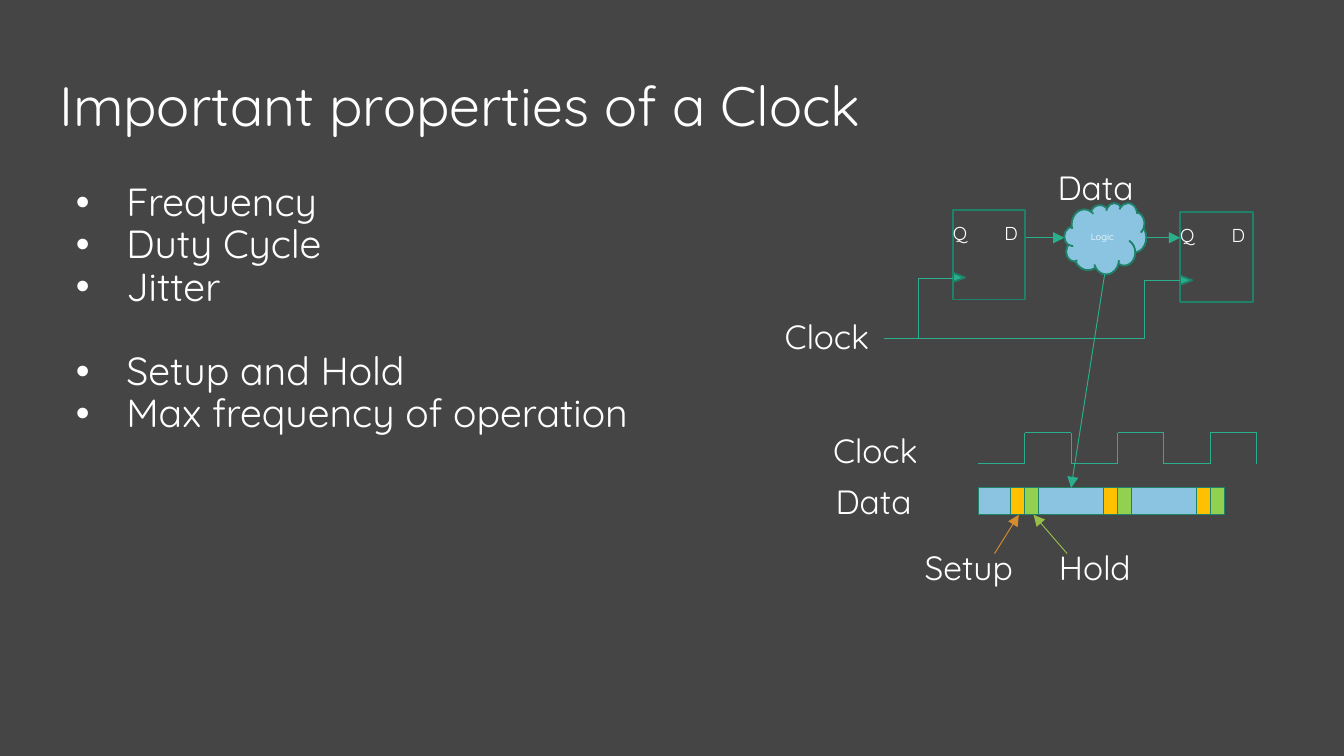
from pptx import Presentation
from pptx.dml.color import RGBColor as Rgb
from pptx.enum.shapes import MSO_CONNECTOR as Link, MSO_SHAPE as Form
from pptx.enum.text import MSO_ANCHOR as Anchor, PP_ALIGN as Align
from pptx.oxml.ns import qn
from pptx.util import Pt
from lxml.etree import SubElement as Sub

FONT = "Quicksand"
HUES = {
    "back": "454545", "text": "FFFFFF", "wire": "29AF8C", "edge": "1E8168",
    "data": "8BC4E0", "setup": "FFC000", "hold": "92D050",
    "amber": "D58C2E", "lime": "97BE49",
}


def hue(name):
    return Rgb.from_string(HUES[name])


def write(para, text, size=18, align=Align.LEFT, lead=None, gap=0):
    """Put formatted text in a paragraph."""
    run = para.add_run()
    run.text = text
    run.font.name, run.font.size = FONT, Pt(size)
    run.font.color.rgb = hue("text")
    para.alignment, para.space_before = align, Pt(gap)
    if lead:
        para.line_spacing = lead


def pad(frame, left, top, right, bottom):
    frame.margin_left, frame.margin_top = Pt(left), Pt(top)
    frame.margin_right, frame.margin_bottom = Pt(right), Pt(bottom)


def label(slide, text, x, y, w=76.3, h=28.8):
    box = slide.shapes.add_textbox(Pt(x), Pt(y), Pt(w), Pt(h))
    box.text_frame.word_wrap = True
    write(box.text_frame.paragraphs[0], text)


def pin(slide, text, x, y, w):
    box = slide.shapes.add_textbox(Pt(x), Pt(y), Pt(w), Pt(19.4))
    frame = box.text_frame
    frame.word_wrap, frame.vertical_anchor = False, Anchor.MIDDLE
    pad(frame, 0, 0, 0, 0)
    write(frame.paragraphs[0], text, size=10)


def block(slide, form, x, y, w, h, fill=None, width=1):
    shape = slide.shapes.add_shape(form, Pt(x), Pt(y), Pt(w), Pt(h))
    shape.shadow.inherit = False
    if fill:
        shape.fill.solid()
        shape.fill.fore_color.rgb = hue(fill)
    else:
        shape.fill.background()
    shape.line.color.rgb, shape.line.width = hue("edge"), Pt(width)
    return shape


def wire(slide, x1, y1, x2, y2, color="wire", head=False, bend=None):
    """Draw a line; bend is the share of the width before an elbow's turn."""
    kind = Link.ELBOW if bend else Link.STRAIGHT
    line = slide.shapes.add_connector(kind, Pt(x1), Pt(y1), Pt(x2), Pt(y2))
    line.line.color.rgb, line.line.width = hue(color), Pt(0.5)
    props = line._element.spPr
    if head:
        Sub(props.find(qn("a:ln")), qn("a:tailEnd"), type="triangle")
    if bend:
        geom = props.find(qn("a:prstGeom"))
        guides = geom.find(qn("a:avLst"))
        if guides is None:
            guides = Sub(geom, qn("a:avLst"))
        Sub(guides, qn("a:gd"), name="adj1", fmla=f"val {round(bend * 100000)}")
    Sub(props, qn("a:effectLst"))


def place(shape, x, y, w, h, anchor):
    shape.left, shape.top, shape.width, shape.height = Pt(x), Pt(y), Pt(w), Pt(h)
    frame = shape.text_frame
    frame.word_wrap, frame.vertical_anchor = True, anchor
    pad(frame, 7.2, 7.2, 7.2, 7.2)
    return frame


def heading(slide, x, y, w, h):
    frame = place(slide.shapes.title, x, y, w, h, Anchor.MIDDLE)
    write(frame.paragraphs[0], "Important properties of a Clock",
          size=29.7, lead=0.9)


def topics(slide, x, y, w, h):
    frame = place(slide.placeholders[1], x, y, w, h, Anchor.TOP)
    groups = [["Frequency", "Duty Cycle", "Jitter"],
              ["Setup and Hold", "Max frequency of operation"]]
    para = frame.paragraphs[0]
    for g, group in enumerate(groups):
        for i, text in enumerate(group):
            if g or i:
                para = frame.add_paragraph()
            write(para, text, size=21, lead=0.9, gap=22.5 if g and not i else 0)
            props = para._p.get_or_add_pPr()
            props.set("marL", str(Pt(36)))
            props.set("indent", str(-Pt(27)))
            Sub(props, qn("a:buFont"), typeface="Arial")
            Sub(props, qn("a:buChar"), char="•")


def flop(slide, x, y):
    block(slide, Form.RECTANGLE, x, y, 38.9, 48.2)
    mark = block(slide, Form.ISOSCELES_TRIANGLE, x + 0.7, y + 33.1, 5, 6.5, "wire")
    mark.rotation = 90
    pin(slide, "Q", x, y + 2.7, 8)
    pin(slide, "D", x + 27.6, y + 2.7, 8)


def circuit(slide, x, y):
    # Flip-flops and their clock feeds
    for dx, dy, bend in ((97.2, 26.6, 0.5), (218.9, 28.1, 0.879)):
        flop(slide, x + dx, y + dy)
        wire(slide, x + 60.5, y + 95.7, x + dx, y + dy + 36.7, bend=bend)
    # Logic cloud between them
    for start, end in ((136.1, 156.9), (200.2, 218.9)):
        wire(slide, x + start, y + 41.7, x + end, y + 41.7, head=True)
    cloud = block(slide, Form.CLOUD, x + 156.9, y + 23, 43.9, 38.2, "data")
    cloud.text_frame.vertical_anchor = Anchor.MIDDLE
    write(cloud.text_frame.paragraphs[0], "Logic", size=5, align=Align.CENTER)
    label(slide, "Clock", x, y + 79.9)
    label(slide, "Data", x + 146.2, y)


def timing(slide, x, y):
    half, slot = 24.84, 7.5
    left, levels = x + 85, (y + 21.6, y + 5)
    # Clock wave
    for i in range(6):
        start, end, level = left + i * half, left + (i + 1) * half, levels[i % 2]
        wire(slide, start, level, end, level)
        wire(slide, end, levels[0], end, levels[1])
    # Data bar: setup ends and hold starts at each rising edge
    top, start = y + 34.6, left
    for i in range(3):
        edge = left + (2 * i + 1) * half
        stops = [start, edge - slot, edge, edge + slot]
        for fill, a, b in zip(("data", "setup", "hold"), stops, stops[1:]):
            block(slide, Form.RECTANGLE, a, top, b - a, 14.4, fill, 0.5)
        start = stops[-1]
    # Labels and pointers
    for text, dx, dy in (("Clock", 0, 0), ("Data", 1.4, 27.4),
                         ("Setup", 49, 62.6), ("Hold", 121, 62.6)):
        label(slide, text, x + dx, y + dy)
    for start, end, color in ((93.6, 106.6, "amber"), (132.5, 114.5, "lime")):
        wire(slide, x + start, y + 69.8, x + end, y + 49, color, head=True)


def main():
    deck = Presentation()
    deck.slide_width, deck.slide_height = Pt(720), Pt(405)
    slide = deck.slides.add_slide(deck.slide_layouts[1])
    slide.background.fill.solid()
    slide.background.fill.fore_color.rgb = hue("back")
    heading(slide, 24.5, 35.3, 671, 45.4)
    topics(slide, 24.5, 90.7, 376.6, 269.3)
    timing(slide, 439.2, 226.8)
    circuit(slide, 413.3, 85.7)
    # Logic output seen in the data bar
    wire(slide, 591.8, 146.9, 573.8, 261.4, head=True)
    deck.save("out.pptx")


if __name__ == "__main__":
    main()
